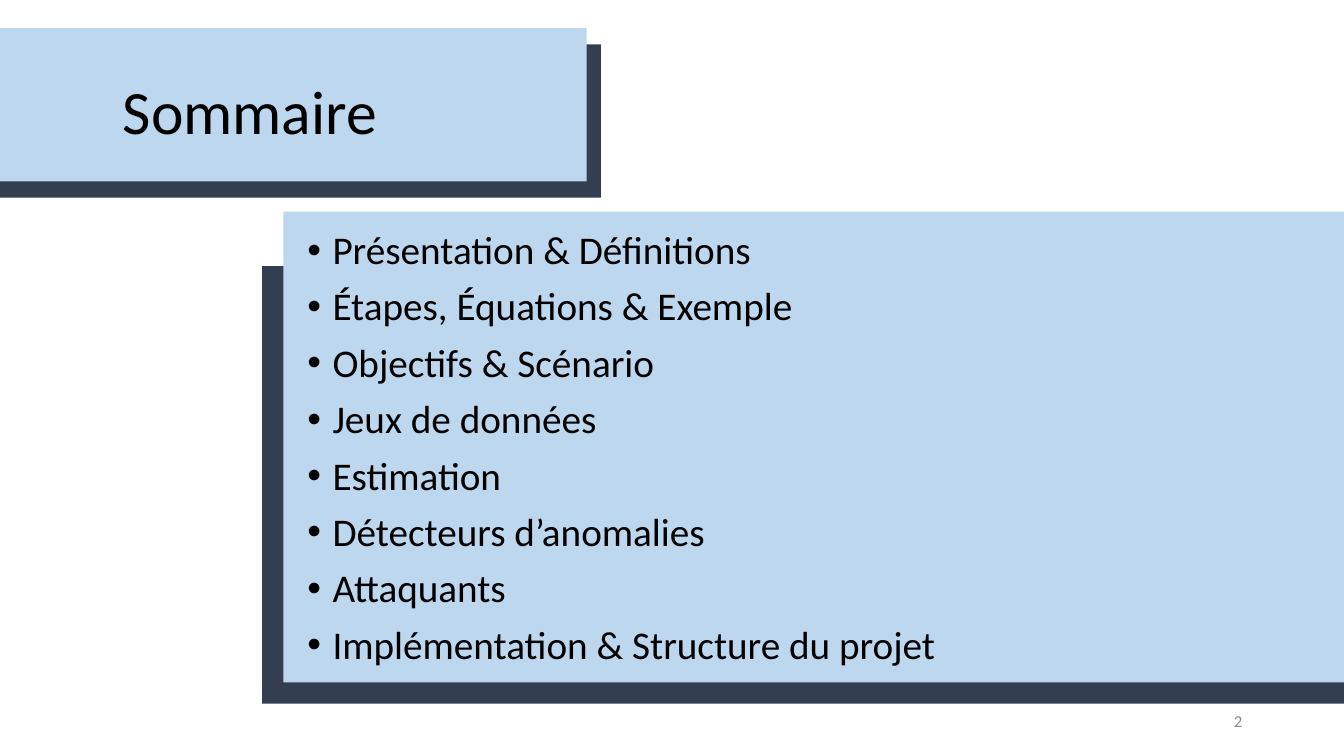
from lxml import etree
from pptx import Presentation
from pptx.dml.color import RGBColor
from pptx.enum.shapes import MSO_SHAPE
from pptx.enum.text import MSO_ANCHOR, PP_ALIGN
from pptx.oxml.ns import qn
from pptx.util import Inches, Pt

NAVY = RGBColor(0x33, 0x3F, 0x50)
LIGHT_BLUE = RGBColor(0xBD, 0xD7, 0xEE)
BLACK = RGBColor(0, 0, 0)
GRAY = RGBColor(0x8C, 0x8C, 0x8C)

PANELS = [
    (2.6, 2.64, 11.23, 4.34, NAVY),
    (2.81, 2.1, 10.83, 4.67, LIGHT_BLUE),
    (-0.47, 0.44, 6.43, 1.52, NAVY),
    (-0.61, 0.28, 6.43, 1.52, LIGHT_BLUE),
]
TOPICS = [
    "Présentation & Définitions",
    "Étapes, Équations & Exemple",
    "Objectifs & Scénario",
    "Jeux de données",
    "Estimation",
    "Détecteurs d’anomalies",
    "Attaquants",
    "Implémentation & Structure du projet",
]


def add_text_frame(left, top, width, height, anchor):
    box = slide.shapes.add_textbox(Inches(left), Inches(top), Inches(width), Inches(height))
    box.text_frame.word_wrap = True
    box.text_frame.vertical_anchor = anchor
    return box.text_frame


def set_font(paragraph, size, color):
    font = paragraph.font
    font.name = "Calibri"
    font.size = Pt(size)
    font.color.rgb = color


presentation = Presentation()
presentation.slide_width = Inches(13.33)
presentation.slide_height = Inches(7.5)
slide = presentation.slides.add_slide(presentation.slide_layouts[6])

for left, top, width, height, color in PANELS:
    panel = slide.shapes.add_shape(
        MSO_SHAPE.RECTANGLE, Inches(left), Inches(top), Inches(width), Inches(height))
    panel.shadow.inherit = False
    panel.fill.solid()
    panel.fill.fore_color.rgb = color
    panel.line.fill.background()

title = add_text_frame(1.12, 0.41, 11.5, 1.45, MSO_ANCHOR.MIDDLE)
title.text = "Sommaire"
title.paragraphs[0].line_spacing = 0.9
set_font(title.paragraphs[0], 44, BLACK)

agenda = add_text_frame(2.95, 2.24, 11.5, 4.76, MSO_ANCHOR.TOP)
agenda.text = "\n".join(TOPICS)
for index, paragraph in enumerate(agenda.paragraphs):
    paragraph.line_spacing = 0.9
    paragraph.space_before = Pt(10 if index else 0)
    properties = paragraph._p.get_or_add_pPr()
    properties.set("marL", str(Inches(0.25)))
    properties.set("indent", str(Inches(-0.25)))
    etree.SubElement(properties, qn("a:buFont"), typeface="Arial")
    etree.SubElement(properties, qn("a:buChar"), char="•")
    set_font(paragraph, 28, BLACK)

page_number = add_text_frame(9.42, 6.95, 3, 0.4, MSO_ANCHOR.MIDDLE)
page_number.text = "2"
page_number.paragraphs[0].alignment = PP_ALIGN.RIGHT
set_font(page_number.paragraphs[0], 12, GRAY)

presentation.save("out.pptx")
